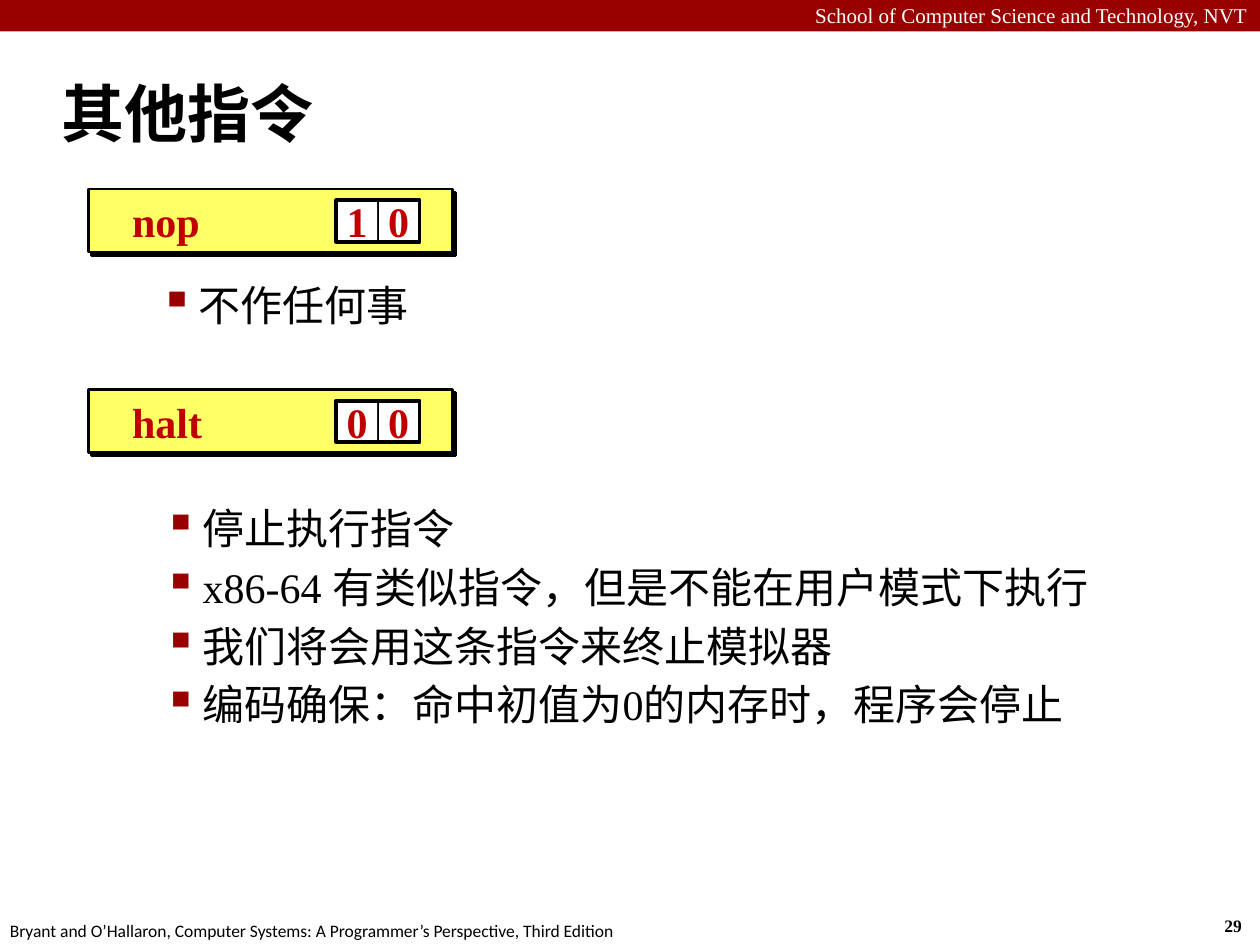
from lxml import etree
from pptx import Presentation
from pptx.dml.color import RGBColor
from pptx.enum.shapes import MSO_SHAPE as SHAPE
from pptx.enum.text import MSO_ANCHOR as ANCHOR, PP_ALIGN as ALIGN
from pptx.oxml.ns import qn
from pptx.util import Inches, Pt

SERIF = "Times New Roman"


def rgb(value):
    """Turn a hex string into a colour."""
    return RGBColor.from_string(value)


def format_text(p, size, color="000000", font=SERIF, bold=False):
    """Format every run of a paragraph."""
    for r in p.runs:
        r.font.size = Pt(size)
        r.font.name = font
        r.font.bold = bold
        r.font.color.rgb = rgb(color)


def add_text(shapes, box, text, size, color="000000", font=SERIF, bold=False,
             align=ALIGN.LEFT, anchor=ANCHOR.TOP, wrap=True):
    """Add a text box with one paragraph."""
    tf = shapes.add_textbox(*map(Inches, box)).text_frame
    tf.word_wrap = wrap
    tf.vertical_anchor = anchor
    tf.text = text
    tf.paragraphs[0].alignment = align
    format_text(tf.paragraphs[0], size, color, font, bold)


def add_rect(shapes, box, fill=None, line=None):
    """Add a rectangle; line is the outline width in points."""
    sp = shapes.add_shape(SHAPE.RECTANGLE, *map(Inches, box))
    sp.shadow.inherit = False
    if fill:
        sp.fill.solid()
        sp.fill.fore_color.rgb = rgb(fill)
    else:
        sp.fill.background()
    if line:
        sp.line.color.rgb = rgb("000000")
        sp.line.width = Pt(line)
    else:
        sp.line.fill.background()
    return sp


def add_hard_shadow(sp):
    """Give a shape a solid black offset shadow."""
    effects = sp._element.spPr.find(qn("a:effectLst"))
    shadow = etree.SubElement(effects, qn("a:outerShdw"), blurRad="0",
                              dist=str(Pt(2.8)), dir="2700000",
                              algn="ctr", rotWithShape="0")
    etree.SubElement(shadow, qn("a:srgbClr"), val="000000")


def add_byte_cell(shapes, x, y, size, digit):
    """Add one white cell holding a hex digit."""
    sp = add_rect(shapes, (x, y, size, size), "FFFFFF", 0.5)
    tf = sp.text_frame
    tf.word_wrap = False
    tf.vertical_anchor = ANCHOR.MIDDLE
    tf.text = digit
    tf.paragraphs[0].alignment = ALIGN.CENTER
    format_text(tf.paragraphs[0], 24, "C00000", bold=True)


def add_instruction(s, top, name, digits):
    """Add an instruction bar with its encoding cells."""
    shapes = s.shapes.add_group_shape().shapes
    cell, left, y = 0.33, 2.67, top + 0.09
    add_hard_shadow(add_rect(shapes, (0.7, top, 2.89, 0.5), "FFFF66", 1.5))
    add_text(shapes, (0.95, y, 1.7, cell), name, 24, "C00000", bold=True,
             anchor=ANCHOR.MIDDLE)
    for i, digit in enumerate(digits):
        add_byte_cell(shapes, left + i * cell, y, cell, digit)
    add_rect(shapes, (left, y, cell * len(digits), cell), line=2.25)


def add_bullets(s, box, lines):
    """Add a text box of second-level bullets."""
    tf = s.shapes.add_textbox(*map(Inches, box)).text_frame
    tf.word_wrap = True
    for i, line in enumerate(lines):
        p = tf.add_paragraph() if i else tf.paragraphs[0]
        p.text = line
        p.level = 1
        p.space_before = Pt(4.8)
        format_text(p, 24)
        pPr = p._p.get_or_add_pPr()
        pPr.set("marL", str(Inches(0.81)))
        pPr.set("indent", str(Inches(-0.31)))
        color = etree.SubElement(pPr, qn("a:buClr"))
        etree.SubElement(color, qn("a:srgbClr"), val="990000")
        etree.SubElement(pPr, qn("a:buSzPct"), val="110000")
        etree.SubElement(pPr, qn("a:buChar"), char="▪")


def main():
    """Build the slide and save it."""
    prs = Presentation()
    prs.slide_width, prs.slide_height = Inches(10), Inches(7.5)
    s = prs.slides.add_slide(prs.slide_layouts[6])

    add_rect(s.shapes, (0, 0, 10, 0.25), "990000")
    add_text(s.shapes, (0, -0.03, 10, 0.3),
             "School of Computer Science and Technology, NVT",
             12, "FFFFFF", align=ALIGN.RIGHT)
    add_text(s.shapes, (-0.02, 7.25, 5.08, 0.27),
             "Bryant and O’Hallaron, Computer Systems: "
             "A Programmer’s Perspective, Third Edition",
             10, font="Calibri", wrap=False)
    add_text(s.shapes, (9.62, 7.21, 0.37, 0.27), "29", 10, bold=True,
             wrap=False)
    add_text(s.shapes, (0.39, 0.48, 9.61, 0.83), "其他指令", 36,
             font="Calibri", bold=True, anchor=ANCHOR.MIDDLE)

    add_instruction(s, 1.5, "nop", "10")
    add_bullets(s, (0.67, 2.17, 8.43, 0.56), ["不作任何事"])
    add_instruction(s, 3.09, "halt", "00")
    add_bullets(s, (0.7, 3.94, 8.43, 2.17), [
        "停止执行指令",
        "x86-64 有类似指令，但是不能在用户模式下执行",
        "我们将会用这条指令来终止模拟器",
        "编码确保：命中初值为0的内存时，程序会停止",
    ])
    prs.save("out.pptx")


main()
